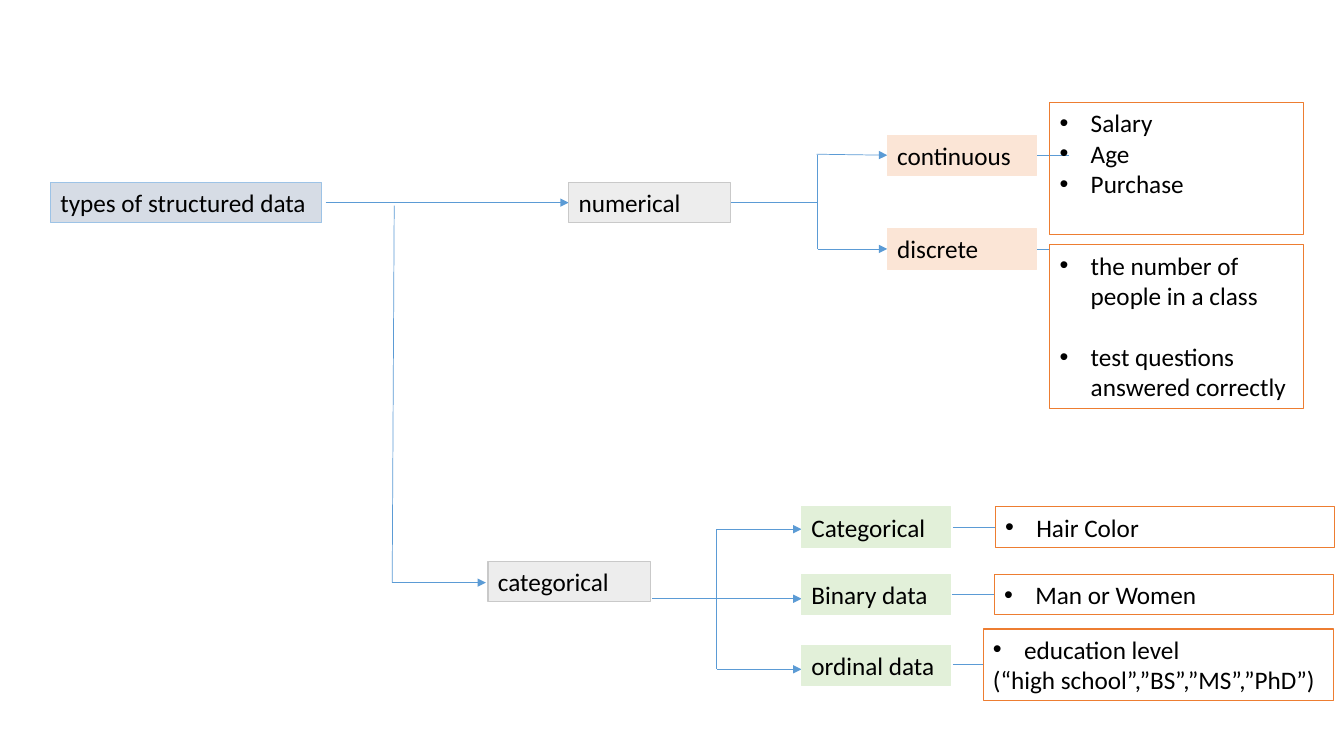
from lxml.etree import SubElement
from pptx import Presentation
from pptx.dml.color import RGBColor
from pptx.enum.shapes import MSO_CONNECTOR
from pptx.enum.text import MSO_ANCHOR, PP_ALIGN
from pptx.oxml.ns import qn
from pptx.util import Inches, Pt

BLUE = "5B9BD5"
LABEL_HEIGHT = 0.4
BULLET_INDENT = 0.31
TEXT_FORMAT = {"name": "Calibri", "size": Pt(18)}
FRAME_FORMAT = {"word_wrap": True, "vertical_anchor": MSO_ANCHOR.TOP}

# kind: (width, fill, outline)
LABEL_STYLES = {
    "root": (2.69, "D6DCE5", "9DC3E6"),
    "branch": (1.61, "EDEDED", "C9C9C9"),
    "number": (1.48, "FBE5D6", "FBE5D6"),
    "category": (1.48, "E2F0D9", "E2F0D9"),
}
# text, kind, left, top
LABELS = [
    ("types of structured data", "root", 0.5, 1.81),
    ("numerical", "branch", 5.64, 1.81),
    ("categorical", "branch", 4.84, 5.57),
    ("continuous", "number", 8.8, 1.34),
    ("discrete", "number", 8.8, 2.27),
    ("Categorical", "category", 7.95, 5.03),
    ("Binary data", "category", 7.95, 5.7),
    ("ordinal data", "category", 7.95, 6.4),
]
# left, top, width, height, paragraphs as (text, bulleted, points before)
EXAMPLES = [
    (10.41, 1.02, 2.52, 1.31,
     [("Salary", True, 0), ("Age", True, 0), ("Purchase", True, 0)]),
    (10.41, 2.43, 2.52, 1.62,
     [("the number of people in a class", True, 0),
      ("test questions answered correctly", True, 22)]),
    (9.87, 5.03, 3.37, 0.4, [("Hair Color", True, 0)]),
    (9.86, 5.7, 3.37, 0.4, [("Man or Women", True, 0)]),
    (9.75, 6.24, 3.48, 0.71,
     [("education level", True, 0),
      ("(“high school”,”BS”,”MS”,”PhD”)", False, 0)]),
]
# start x, start y, end x, end y
ARROWS = [
    (3.23, 2.01, 5.64, 2.01),
    (3.89, 5.78, 4.82, 5.78),
    (8.1, 1.53, 8.8, 1.54),
    (8.11, 2.47, 8.8, 2.47),
] + [(7.11, y, 7.95, y) for y in (5.25, 5.94, 6.64)]
LINES = [
    (3.91, 2.04, 3.89, 5.78),
    (7.25, 2.01, 8.1, 2.01),
    (8.11, 1.54, 8.11, 2.47),
    (7.11, 5.94, 6.47, 5.94),
    (7.11, 5.25, 7.11, 6.64),
    (10.29, 1.54, 10.6, 1.54),
    (10.29, 2.47, 10.41, 2.47),
    (9.45, 5.23, 9.87, 5.23),
    (9.44, 5.9, 9.86, 5.9),
    (9.45, 6.59, 9.75, 6.59),
]


def color(value):
    return RGBColor.from_string(value)


def apply(target, values):
    for name, value in values.items():
        setattr(target, name, value)


def add_bullet(para):
    properties = para._p.get_or_add_pPr()
    properties.set("marL", str(Inches(BULLET_INDENT)))
    properties.set("indent", str(-Inches(BULLET_INDENT)))
    SubElement(properties, qn("a:buFont"), typeface="Arial")
    SubElement(properties, qn("a:buChar"), char="•")


def add_box(page, area, paragraphs, outline, fill=None):
    box = page.shapes.add_textbox(*map(Inches, area))
    box.line.color.rgb = color(outline)
    box.line.width = Pt(0.75)
    if fill:
        box.fill.solid()
        box.fill.fore_color.rgb = color(fill)
    frame = box.text_frame
    apply(frame, FRAME_FORMAT)
    for index, (text, bulleted, before) in enumerate(paragraphs):
        para = frame.add_paragraph() if index else frame.paragraphs[0]
        apply(para, {"alignment": PP_ALIGN.LEFT, "space_before": Pt(before)})
        if bulleted:
            add_bullet(para)
        span = para.add_run()
        span.text = text
        apply(span.font, TEXT_FORMAT)
        span.font.color.rgb = color("000000")


def add_line(page, ends, arrow=False):
    line = page.shapes.add_connector(MSO_CONNECTOR.STRAIGHT, *map(Inches, ends))
    line.line.color.rgb = color(BLUE)
    line.line.width = Pt(0.5)
    if arrow:
        SubElement(line.line._get_or_add_ln(), qn("a:tailEnd"), type="triangle")
    SubElement(line._element.spPr, qn("a:effectLst"))


def main():
    deck = Presentation()
    apply(deck, {"slide_width": Inches(13.33), "slide_height": Inches(7.5)})
    page = deck.slides.add_slide(deck.slide_layouts[6])
    for ends in LINES:
        add_line(page, ends)
    for ends in ARROWS:
        add_line(page, ends, arrow=True)
    for text, kind, left, top in LABELS:
        width, fill, outline = LABEL_STYLES[kind]
        area = (left, top, width, LABEL_HEIGHT)
        add_box(page, area, [(text, False, 0)], outline, fill)
    for *area, paragraphs in EXAMPLES:
        add_box(page, area, paragraphs, "ED7D31")
    deck.save("out.pptx")


if __name__ == "__main__":
    main()
